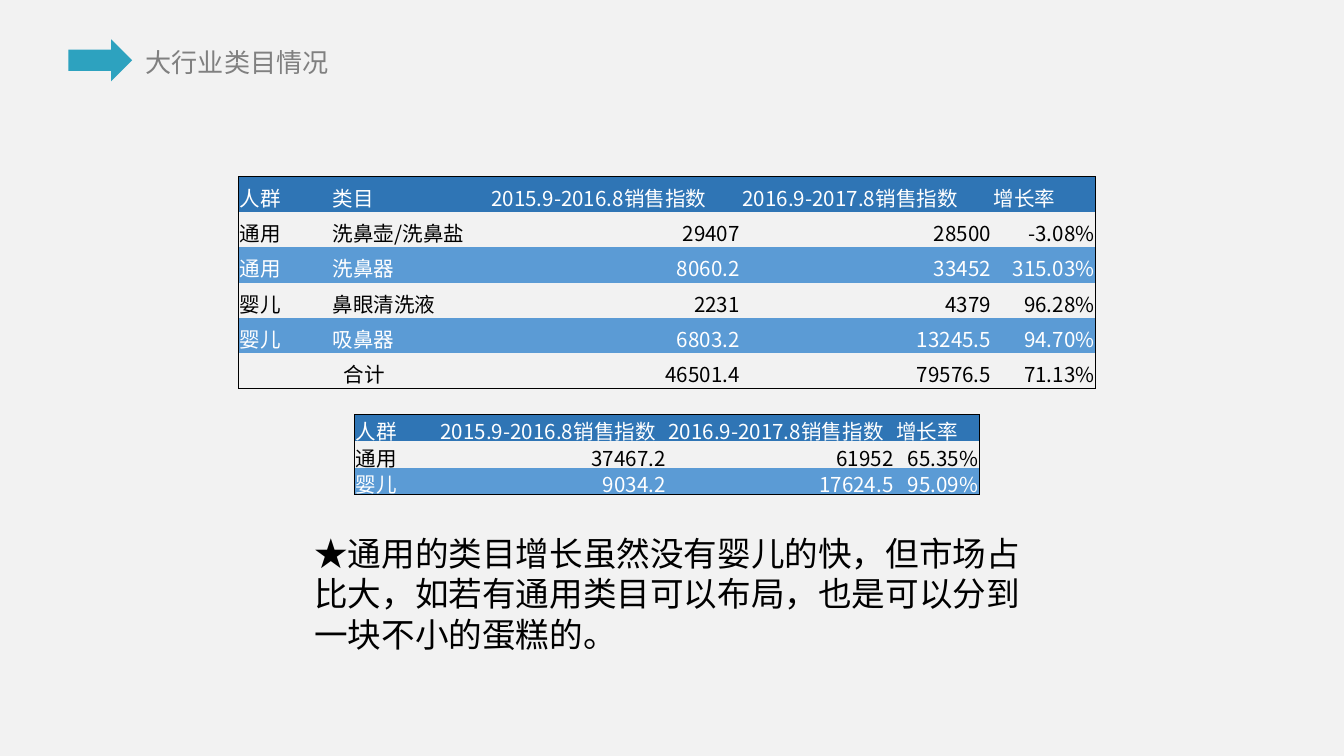
from dataclasses import dataclass

from lxml.etree import SubElement
from pptx import Presentation
from pptx.dml.color import RGBColor
from pptx.enum.shapes import MSO_SHAPE as Preset
from pptx.enum.text import MSO_ANCHOR as Anchor, MSO_AUTO_SIZE as AutoSize, PP_ALIGN as Align
from pptx.oxml.ns import qn
from pptx.util import Inches, Pt


@dataclass(frozen=True)
class Theme:
    background: str = "F2F2F2"
    accent: str = "2DA2BF"
    muted: str = "808080"
    ink: str = "000000"
    light: str = "FFFFFF"
    header: str = "2F75B5"
    band: str = "5B9BD5"
    font: str = "Calibri"
    table_font: str = "Noto Sans CJK SC"
    title_size: int = 14
    table_size: int = 11
    note_size: int = 18
    border: float = 0.5


COLUMNS, ROWS = 100, 56.25
NO_STYLE = "{2D5ABB26-0587-4C30-8999-92F81FD0307C}"


def grid(units):
    return Inches(units / 10)


def write(frame, text, *, font, size, color, align=Align.LEFT):
    para = frame.paragraphs[0]
    para.alignment = align
    span = para.add_run()
    span.text = text
    span.font.name = font
    span.font.size = Pt(size)
    span.font.color.rgb = RGBColor.from_string(color)
    SubElement(span.font._element, qn("a:ea"), typeface=Theme.table_font)


class SlideBuilder:
    def __init__(self, deck, theme):
        self.theme = theme
        self.page = deck.slides.add_slide(deck.slide_layouts[6])
        self.paint(self.page.background.fill, theme.background)

    def paint(self, fill, color):
        fill.solid()
        fill.fore_color.rgb = RGBColor.from_string(color)

    def arrow(self, *place):
        arrow = self.page.shapes.add_shape(Preset.RIGHT_ARROW, *map(grid, place))
        arrow.shadow.inherit = False
        self.paint(arrow.fill, self.theme.accent)
        arrow.line.fill.background()

    def text(self, *place, text, size, color, wrap=True):
        box = self.page.shapes.add_textbox(*map(grid, place))
        box.text_frame.word_wrap = wrap
        box.text_frame.auto_size = AutoSize.SHAPE_TO_FIT_TEXT
        write(box.text_frame, text, font=self.theme.font, size=size, color=color)

    def edge(self, cell, side):
        line = SubElement(cell._tc.get_or_add_tcPr(), qn(f"a:ln{side}"), w=str(Pt(self.theme.border)))
        fill = SubElement(line, qn("a:solidFill"))
        SubElement(fill, qn("a:srgbClr"), val=self.theme.ink)

    def cell(self, cell, text, color, fill, edges, align):
        cell.vertical_anchor = Anchor.BOTTOM
        cell.margin_left = cell.margin_right = cell.margin_top = grid(0.1)
        cell.margin_bottom = 0
        for side, present in edges.items():
            if present:
                self.edge(cell, side)
        if fill:
            self.paint(cell.fill, fill)
        else:
            cell.fill.background()
        if text:
            write(cell.text_frame, text, font=self.theme.table_font,
                  size=self.theme.table_size, color=color, align=align)

    def table(self, left, top, height, widths, rows, labels, total=False):
        theme = self.theme
        frame = self.page.shapes.add_table(
            len(rows), len(widths), *map(grid, (left, top, sum(widths), height)))
        table = frame.table
        table.first_row = table.horz_banding = False
        table._tbl.tblPr.find(qn("a:tableStyleId")).text = NO_STYLE
        for column, width in zip(table.columns, widths):
            column.width = grid(width)
        last_row, last_column = len(rows) - 1, len(widths) - 1
        for r, values in enumerate(rows):
            table.rows[r].height = grid(height / len(rows))
            fill = theme.header if r == 0 else None if r % 2 else theme.band
            color = theme.light if fill else theme.ink
            for c, value in enumerate(values):
                edges = {"L": c == 0, "R": c == last_column, "T": r == 0, "B": r == last_row}
                align = Align.RIGHT if r and c >= labels else Align.LEFT
                if total and r == last_row and c < labels:
                    align = Align.CENTER
                self.cell(table.cell(r, c), value, color, fill, edges, align)
        if total:
            table.cell(last_row, 0).merge(table.cell(last_row, labels - 1))


def main():
    deck = Presentation()
    deck.slide_width, deck.slide_height = grid(COLUMNS), grid(ROWS)
    theme = Theme()
    slide = SlideBuilder(deck, theme)

    slide.text(9.85, 2.95, 15.9, 3.4, text="大行业类目情况",
               size=theme.title_size, color=theme.muted, wrap=False)
    slide.arrow(5.1, 2.92, 4.74, 3.13)

    measures = ["2015.9-2016.8销售指数", "2016.9-2017.8销售指数", "增长率"]
    categories = [
        ["人群", "类目", *measures],
        ["通用", "洗鼻壶/洗鼻盐", "29407", "28500", "-3.08%"],
        ["通用", "洗鼻器", "8060.2", "33452", "315.03%"],
        ["婴儿", "鼻眼清洗液", "2231", "4379", "96.28%"],
        ["婴儿", "吸鼻器", "6803.2", "13245.5", "94.70%"],
        ["合计", "", "46501.4", "79576.5", "71.13%"],
    ]
    groups = [
        ["人群", *measures],
        ["通用", "37467.2", "61952", "65.35%"],
        ["婴儿", "9034.2", "17624.5", "95.09%"],
    ]
    slide.table(17.75, 13.15, 15.8, [6.9, 11.8, 18.7, 18.7, 7.7], categories, labels=2, total=True)
    slide.text(22.4, 39.15, 55.9, 10.1, size=theme.note_size, color=theme.ink,
               text="★通用的类目增长虽然没有婴儿的快，但市场占比大，"
                    "如若有通用类目可以布局，也是可以分到一块不小的蛋糕的。")
    slide.table(26.38, 30.85, 5.94, [6.3, 16.95, 16.95, 6.3], groups, labels=1)
    deck.save("out.pptx")


if __name__ == "__main__":
    main()
